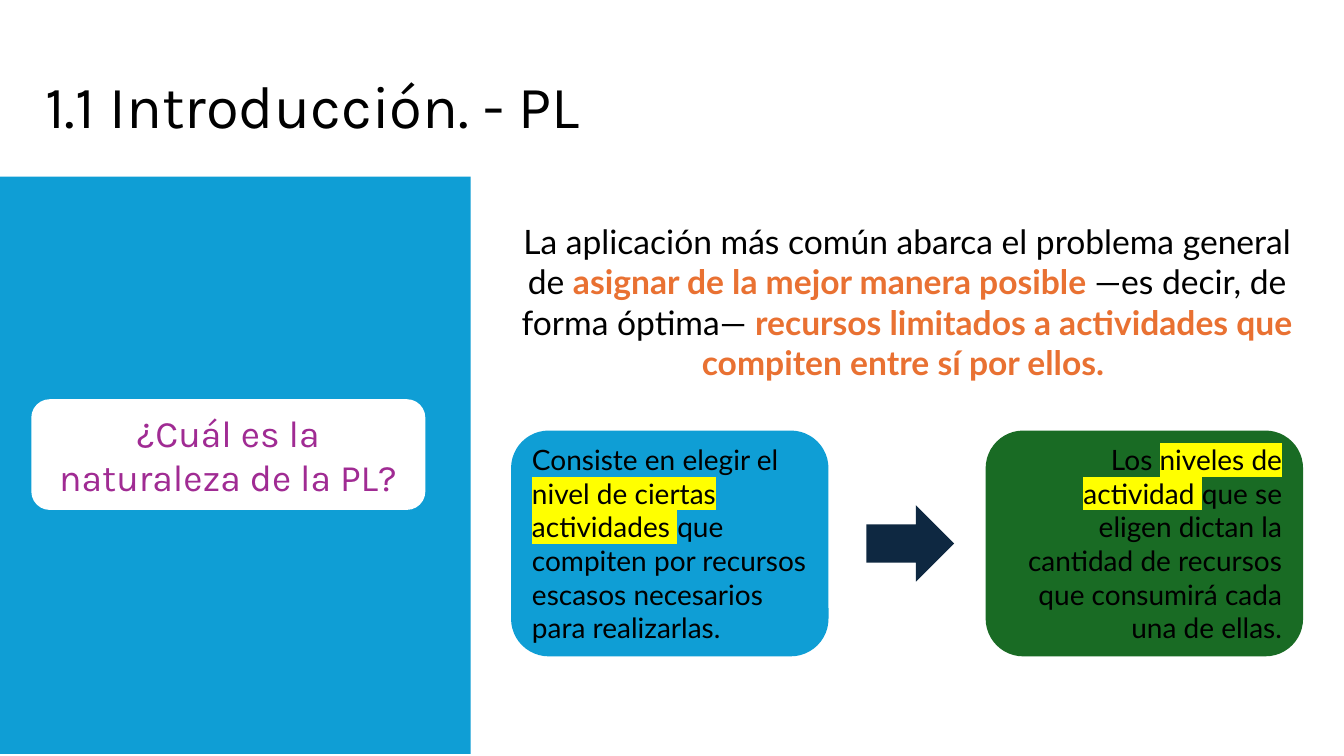
from lxml.etree import SubElement
from pptx import Presentation
from pptx.dml.color import RGBColor
from pptx.enum.shapes import MSO_SHAPE as Kind
from pptx.enum.text import MSO_ANCHOR as Anchor, PP_ALIGN as Align
from pptx.oxml.ns import qn
from pptx.util import Cm, Pt

BLACK = RGBColor(0x00, 0x00, 0x00)
WHITE = RGBColor(0xFF, 0xFF, 0xFF)
BLUE = RGBColor(0x0F, 0x9E, 0xD5)
GREEN = RGBColor(0x19, 0x6B, 0x24)
NAVY = RGBColor(0x0E, 0x28, 0x41)
ORANGE = RGBColor(0xE9, 0x71, 0x32)
PURPLE = RGBColor(0xA0, 0x2B, 0x93)
YELLOW = RGBColor(0xFF, 0xFF, 0x00)

# Each run is (text, style); styles: "" plain, "key" bold orange, "mark" highlighted
TITLE = [("1.1 Introducción. - PL", "")]
QUERY = [("¿Cuál es la naturaleza de la PL?", "")]
INTRO = [
    ("La aplicación más común abarca el problema general de ", ""),
    ("asignar de la mejor manera posible ", "key"),
    ("—es decir, de forma óptima— ", ""),
    ("recursos limitados a actividades que compiten entre sí por ellos. ", "key"),
]
CARDS = [
    (BLUE, Align.LEFT, [
        ("Consiste en elegir el ", ""),
        ("nivel de ciertas actividades ", "mark"),
        ("que compiten por recursos escasos necesarios para realizarlas.", ""),
    ]),
    (GREEN, Align.RIGHT, [
        ("Los ", ""),
        ("niveles de actividad ", "mark"),
        ("que se eligen dictan la cantidad de recursos que consumirá cada una de ellas.", ""),
    ]),
]

# Lengths in cm
WIDE, HIGH = 33.87, 19.05
LEFT, SPAN = 12.88, 19.96
CARD_W, CARD_H, CARD_Y = 8, 5.69, 10.85
ARROW_W, ARROW_H = 2.21, 1.93


def mark(run):
    """Highlight a run; the element must follow the run's fill."""
    props = run.font._element
    light = SubElement(props, qn("a:highlight"))
    SubElement(light, qn("a:srgbClr"), val=str(YELLOW))
    props.find(qn("a:solidFill")).addnext(light)


def write(shape, runs, face, size, align=Align.LEFT, color=BLACK, anchor=Anchor.TOP):
    frame = shape.text_frame
    frame.word_wrap = True
    frame.vertical_anchor = anchor
    para = frame.paragraphs[0]
    para.alignment = align
    for text, style in runs:
        run = para.add_run()
        run.text = text
        run.font.size = Pt(size)
        run.font.bold = style == "key"
        run.font.color.rgb = ORANGE if style == "key" else color
        run.font.name = face
        if style == "mark":
            mark(run)


def draw(slide, kind, box, fill):
    shape = slide.shapes.add_shape(kind, *map(Cm, box))
    shape.shadow.inherit = False
    shape.fill.solid()
    shape.fill.fore_color.rgb = fill
    shape.line.fill.background()
    return shape


def label(slide, box):
    return slide.shapes.add_textbox(*map(Cm, box))


def main():
    deck = Presentation()
    deck.slide_width, deck.slide_height = Cm(WIDE), Cm(HIGH)
    slide = deck.slides.add_slide(deck.slide_layouts[6])

    draw(slide, Kind.RECTANGLE, (0, 4.45, 11.86, 14.55), BLUE)
    write(label(slide, (0.89, 1.6, 28.78, 2.08)), TITLE, "Karla", 42.7)
    write(label(slide, (LEFT, 5.44, SPAN, 4.37)), INTRO, "Lato", 24, Align.CENTER)
    query = draw(slide, Kind.ROUNDED_RECTANGLE, (0.79, 10.06, 9.93, 2.79), WHITE)
    write(query, QUERY, "Karla", 26.7, Align.CENTER, PURPLE, Anchor.MIDDLE)

    for i, (fill, align, runs) in enumerate(CARDS):
        box = (LEFT + i * (SPAN - CARD_W), CARD_Y, CARD_W, CARD_H)
        card = draw(slide, Kind.ROUNDED_RECTANGLE, box, fill)
        write(card, runs, "Lato", 20, align, anchor=Anchor.MIDDLE)

    arrow_x = LEFT + (SPAN - ARROW_W) / 2 + 0.08
    arrow_y = CARD_Y + (CARD_H - ARROW_H) / 2
    draw(slide, Kind.RIGHT_ARROW, (arrow_x, arrow_y, ARROW_W, ARROW_H), NAVY)

    deck.save("out.pptx")


if __name__ == "__main__":
    main()
